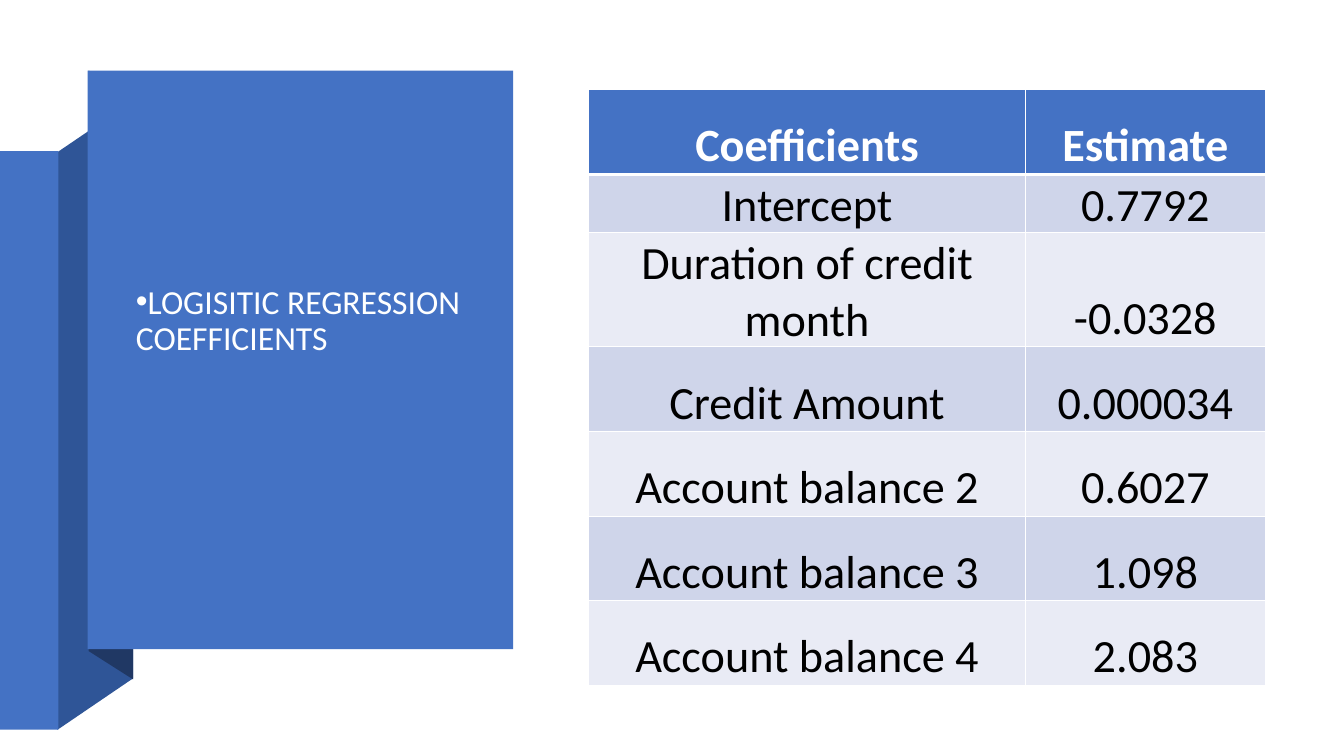
from dataclasses import dataclass

from lxml import etree
from pptx import Presentation
from pptx.dml.color import RGBColor
from pptx.enum.shapes import MSO_SHAPE
from pptx.enum.text import MSO_ANCHOR, PP_ALIGN
from pptx.oxml.ns import qn
from pptx.shapes.base import BaseShape
from pptx.slide import Slide
from pptx.table import _Cell
from pptx.text.text import _Paragraph
from pptx.util import Inches, Pt

RECTANGLE = MSO_SHAPE.RECTANGLE
BOTTOM = MSO_ANCHOR.BOTTOM
CENTER = PP_ALIGN.CENTER


@dataclass(frozen=True)
class Theme:
    font: str = "Calibri"
    title_size: int = 24
    table_size: int = 33
    blue: str = "4472C4"
    fold: str = "2F5597"
    shade: str = "203864"
    title: str = "FEFFFF"
    white: str = "FFFFFF"
    black: str = "000000"
    odd_row: str = "CFD5EA"
    even_row: str = "E9EBF5"
    grid_line: int = 1
    header_line: int = 3


@dataclass(frozen=True)
class Panel:
    left: float
    top: float
    width: float
    height: float
    color: str


@dataclass(frozen=True)
class Fold:
    points: tuple[tuple[float, float], ...]
    color: str


@dataclass(frozen=True)
class Coefficient:
    name: str
    estimate: str
    height: float = 0.84


THEME = Theme()

RIBBON = (
    Fold(((0.57, 7.24), (1.32, 6.73), (1.32, 1), (0.57, 1.51)), THEME.fold),
    Panel(0, 1.5, 0.58, 5.74, THEME.blue),
    Fold(((0.88, 6.46), (1.32, 6.74), (1.32, 0.99), (0.88, 0.7)), THEME.shade),
    Panel(0.87, 0.7, 4.22, 5.74, THEME.blue),
)

COLUMN_WIDTHS = (4.33, 2.38)
ROWS = (
    Coefficient("Coefficients", "Estimate"),
    Coefficient("Intercept", "0.7792", 0.43),
    Coefficient("Duration of credit month", "-0.0328"),
    Coefficient("Credit Amount", "0.000034"),
    Coefficient("Account balance 2", "0.6027"),
    Coefficient("Account balance 3", "1.098"),
    Coefficient("Account balance 4", "2.083"),
)


def paint(sp: BaseShape, color: str) -> None:
    sp.shadow.inherit = False
    sp.fill.solid()
    sp.fill.fore_color.rgb = RGBColor.from_string(color)
    sp.line.fill.background()


def draw_part(s: Slide, part: Panel | Fold) -> None:
    if isinstance(part, Panel):
        box = (part.left, part.top, part.width, part.height)
        sp = s.shapes.add_shape(RECTANGLE, *map(Inches, box))
    else:
        start, *rest = [(Inches(x), Inches(y)) for x, y in part.points]
        builder = s.shapes.build_freeform(*start)
        builder.add_line_segments(rest, close=True)
        sp = builder.convert_to_shape()
    paint(sp, part.color)


def add_run(p: _Paragraph, text: str, size: int, color: str, bold: bool = False) -> None:
    r = p.add_run()
    r.text = text
    r.font.name = THEME.font
    r.font.size = Pt(size)
    r.font.bold = bold
    r.font.color.rgb = RGBColor.from_string(color)


def add_title(s: Slide) -> None:
    tb = s.shapes.add_textbox(Inches(1.25), Inches(2.78), Inches(3.5), Inches(3.27))
    tf = tb.text_frame
    tf.word_wrap = True
    p = tf.paragraphs[0]
    p.line_spacing = 0.9
    p.space_after = Pt(6)
    add_run(p, "LOGISITIC REGRESSION COEFFICIENTS", THEME.title_size, THEME.title)
    pPr = p._p.get_or_add_pPr()
    pPr.set("marL", "0")
    pPr.set("indent", str(-Inches(0.25)))
    etree.SubElement(pPr, qn("a:buFont"), typeface="Arial")
    etree.SubElement(pPr, qn("a:buChar"), char="•")


def set_borders(cell: _Cell, top: int, bottom: int) -> None:
    tcPr = cell._tc.get_or_add_tcPr()
    widths = {"L": THEME.grid_line, "R": THEME.grid_line, "T": top, "B": bottom}
    for side, width in widths.items():
        ln = etree.SubElement(tcPr, qn(f"a:ln{side}"), w=str(Pt(width)))
        fill = etree.SubElement(ln, qn("a:solidFill"))
        etree.SubElement(fill, qn("a:srgbClr"), val=THEME.white)


def fill_cell(cell: _Cell, text: str, row: int) -> None:
    header = row == 0
    set_borders(
        cell,
        top=THEME.header_line if row == 1 else THEME.grid_line,
        bottom=THEME.header_line if header else THEME.grid_line,
    )
    band = THEME.odd_row if row % 2 else THEME.even_row
    cell.fill.solid()
    cell.fill.fore_color.rgb = RGBColor.from_string(THEME.blue if header else band)
    cell.margin_left = cell.margin_right = cell.margin_top = Inches(0.03)
    cell.margin_bottom = 0
    cell.vertical_anchor = BOTTOM
    p = cell.text_frame.paragraphs[0]
    p.alignment = CENTER
    add_run(p, text, THEME.table_size, THEME.white if header else THEME.black, header)


def add_coefficients(s: Slide) -> None:
    width = sum(COLUMN_WIDTHS)
    height = sum(row.height for row in ROWS)
    frame = s.shapes.add_table(
        len(ROWS), len(COLUMN_WIDTHS),
        Inches(5.84), Inches(0.89), Inches(width), Inches(height),
    )
    table = frame.table
    for column, column_width in zip(table.columns, COLUMN_WIDTHS):
        column.width = Inches(column_width)
    for i, row in enumerate(ROWS):
        table.rows[i].height = Inches(row.height)
        for j, text in enumerate((row.name, row.estimate)):
            fill_cell(table.cell(i, j), text, i)


def main() -> None:
    prs = Presentation()
    prs.slide_width = Inches(13.33)
    prs.slide_height = Inches(7.5)
    s = prs.slides.add_slide(prs.slide_layouts[6])
    for part in RIBBON:
        draw_part(s, part)
    add_title(s)
    add_coefficients(s)
    prs.save("out.pptx")


if __name__ == "__main__":
    main()
